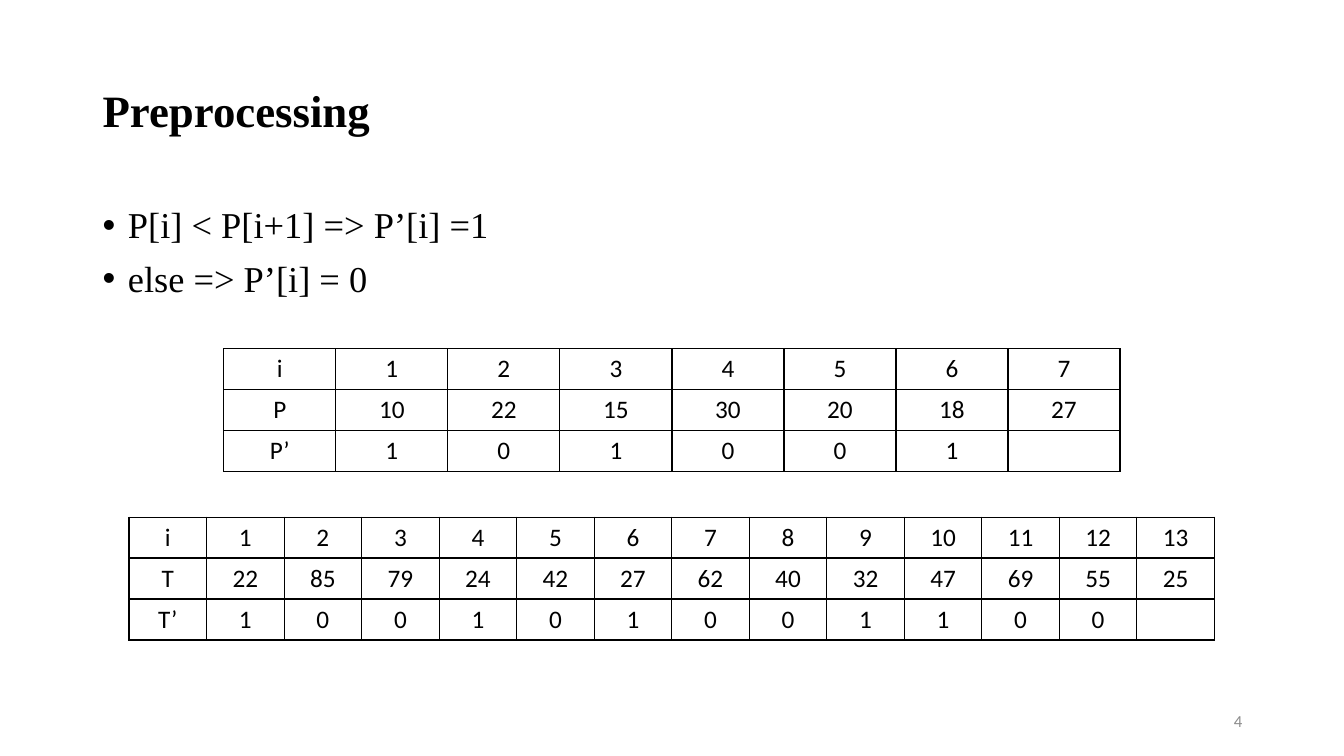
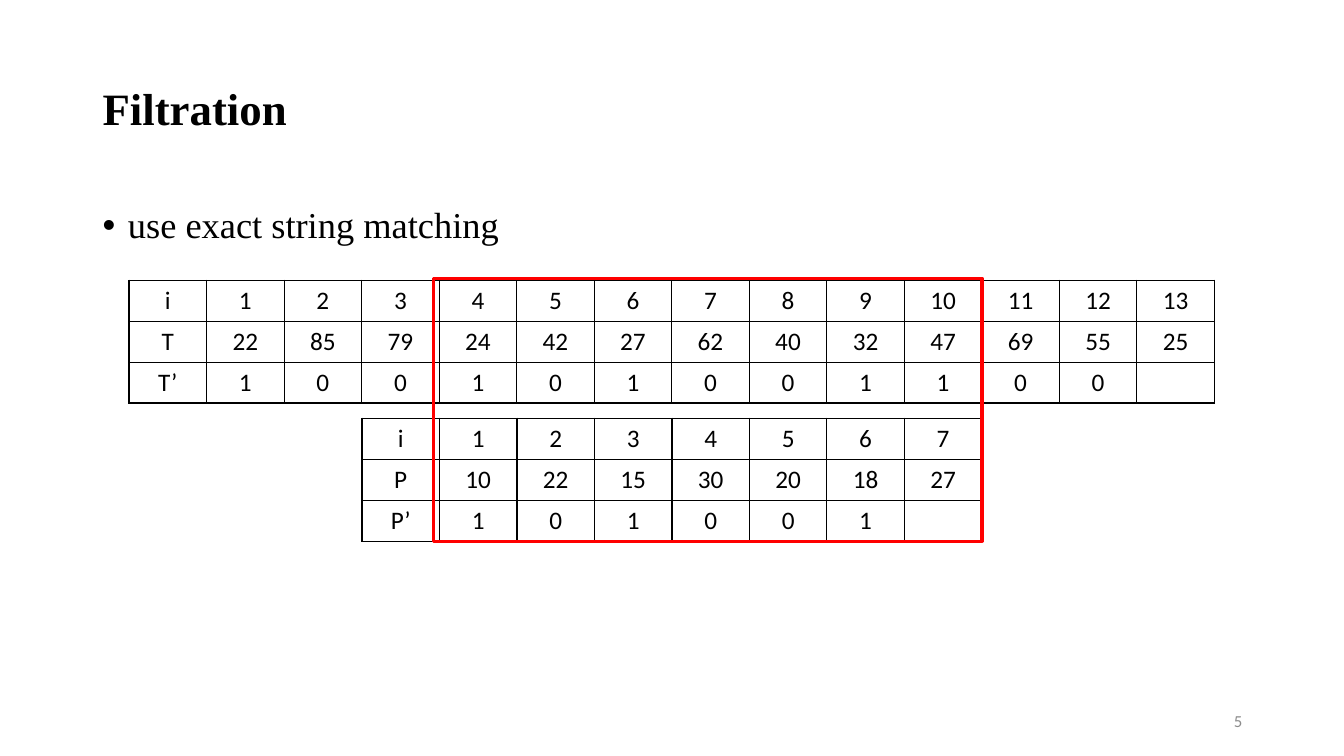
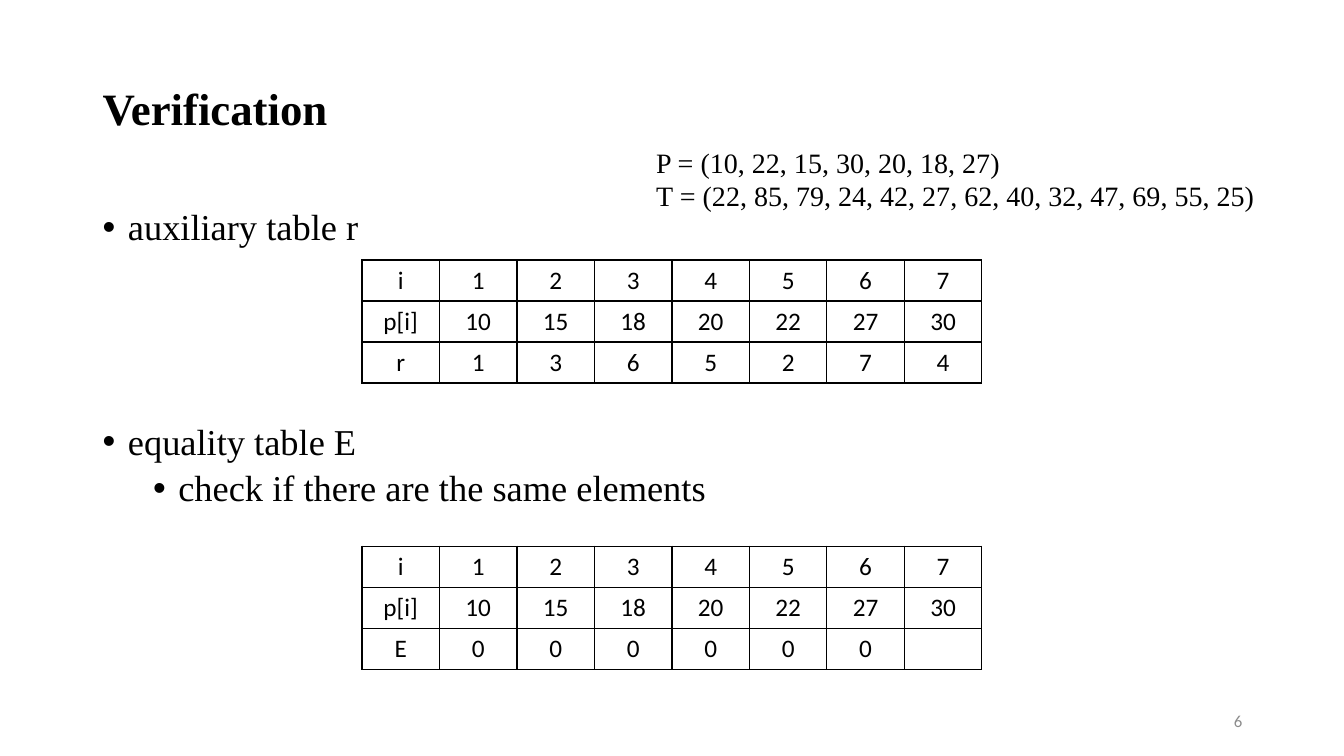
import pptx
import pptx.dml.color
import pptx.enum.shapes
import pptx.enum.text
import pptx.oxml
import pptx.oxml.ns
import pptx.util
from dataclasses import dataclass
from pptx.util import Inches, Pt

RGBColor = pptx.dml.color.RGBColor
Align = pptx.enum.text.PP_ALIGN
Anchor = pptx.enum.text.MSO_ANCHOR


@dataclass(frozen=True)
class Theme:
    black: str = "000000"
    grey: str = "8C8C8C"
    red: str = "FF0000"
    serif: str = "Times New Roman"
    sans: str = "Calibri"
    title_size: int = 32
    body_size: int = 26
    note_size: int = 20
    table_size: int = 18
    number_size: int = 12


THEME = Theme()
SLIDE_WIDTH, SLIDE_HEIGHT = 13.33, 7.5
TABLE_HEIGHT = 1.22
BULLET_INDENT = 0.25
FIRST_NUMBER = 4


def order_bits(values):
    """Return 1 where the next value is larger, 0 elsewhere, blank at the end."""
    return [int(a < b) for a, b in zip(values, values[1:])] + [""]


def index_table(*rows):
    """Put a row of positions 1..n above labelled rows of n values."""
    count = len(rows[0][1])
    return [["i", *range(1, count + 1)]] + [[label, *values] for label, values in rows]


PATTERN = [10, 22, 15, 30, 20, 18, 27]
TEXT = [22, 85, 79, 24, 42, 27, 62, 40, 32, 47, 69, 55, 25]
SORTED_PATTERN = sorted(PATTERN)
PATTERN_TABLE = index_table(("P", PATTERN), ("P’", order_bits(PATTERN)))
TEXT_TABLE = index_table(("T", TEXT), ("T’", order_bits(TEXT)))
RANK_TABLE = index_table(
    ("p[i]", SORTED_PATTERN), ("r", [PATTERN.index(value) + 1 for value in SORTED_PATTERN])
)
EQUALITY_TABLE = index_table(("p[i]", SORTED_PATTERN), ("E", [0] * 6 + [""]))

# Bullets are (text, level, space before); tables are (rows, top, width).
SLIDES = [
    {
        "title": "Preprocessing",
        "title_top": 0.4,
        "body_top": 2.01,
        "bullets": [("P[i] < P[i+1] => P’[i] =1", 0, 0), ("else => P’[i] = 0", 0, 10)],
        "tables": [(PATTERN_TABLE, 3.46, 8.89), (TEXT_TABLE, 5.13, 10.77)],
    },
    {
        "title": "Filtration",
        "title_top": 0.38,
        "body_top": 2.01,
        "bullets": [("use exact string matching", 0, 0)],
        "tables": [(PATTERN_TABLE, 4.15, 6.15), (TEXT_TABLE, 2.78, 10.77)],
        "match_frame": (4.3, 2.76, 5.44, 2.61),
    },
    {
        "title": "Verification",
        "title_top": 0.38,
        "body_top": 2.03,
        "bullets": [
            ("auxiliary table r", 0, 0),
            ("equality table E", 0, 125),
            ("check if there are the same elements", 1, 5),
        ],
        "tables": [(RANK_TABLE, 2.58, 6.15), (EQUALITY_TABLE, 5.42, 6.15)],
        "note": [
            f"{name} = ({', '.join(map(str, values))})"
            for name, values in (("P", PATTERN), ("T", TEXT))
        ],
    },
]


def style_font(paragraph, size, name, color=THEME.black, bold=False):
    font = paragraph.font
    font.size, font.name, font.bold = Pt(size), name, bold
    font.color.rgb = RGBColor.from_string(color)


def add_text_frame(slide, box, anchor=Anchor.TOP):
    frame = slide.shapes.add_textbox(*map(Inches, box)).text_frame
    frame.word_wrap = True
    frame.vertical_anchor = anchor
    return frame


def add_paragraphs(frame, texts):
    frame.text = "\n".join(texts)
    return frame.paragraphs


def add_title(slide, text, top):
    frame = add_text_frame(slide, (0.92, top, 11.5, 1.45), Anchor.MIDDLE)
    [paragraph] = add_paragraphs(frame, [text])
    paragraph.line_spacing = 0.9
    style_font(paragraph, THEME.title_size, THEME.serif, bold=True)


def add_page_number(slide, number):
    frame = add_text_frame(slide, (9.42, 6.95, 3, 0.4), Anchor.MIDDLE)
    [paragraph] = add_paragraphs(frame, [str(number)])
    paragraph.alignment = Align.RIGHT
    style_font(paragraph, THEME.number_size, THEME.sans, THEME.grey)


def add_bullets(slide, bullets, top):
    frame = add_text_frame(slide, (0.92, top, 11.81, 4.86))
    paragraphs = add_paragraphs(frame, [text for text, _, _ in bullets])
    for paragraph, (_, level, space_before) in zip(paragraphs, bullets):
        paragraph.level = level
        paragraph.line_spacing = 0.9
        paragraph.space_before = Pt(space_before)
        properties = paragraph._p.get_or_add_pPr()
        properties.set("marL", str(Inches(BULLET_INDENT + 0.5 * level)))
        properties.set("indent", str(-Inches(BULLET_INDENT)))
        namespace = pptx.oxml.ns.nsdecls("a")
        for bullet in ('<a:buFont %s typeface="Arial"/>', '<a:buChar %s char="•"/>'):
            properties.append(pptx.oxml.parse_xml(bullet % namespace))
        style_font(paragraph, THEME.body_size, THEME.serif)


def add_note(slide, lines):
    frame = add_text_frame(slide, (6.41, 1.39, 6.67, 0.77))
    for paragraph in add_paragraphs(frame, lines):
        style_font(paragraph, THEME.note_size, THEME.serif)


def add_cell_borders(cell):
    properties = cell._tc.get_or_add_tcPr()
    for side in ("lnL", "lnR", "lnT", "lnB"):
        properties.append(pptx.oxml.parse_xml(
            f'<a:{side} {pptx.oxml.ns.nsdecls("a")} w="{Pt(1)}"><a:solidFill>'
            f'<a:srgbClr val="{THEME.black}"/></a:solidFill></a:{side}>'
        ))


def add_centred_table(slide, rows, top, width):
    columns = len(rows[0])
    box = ((SLIDE_WIDTH - width) / 2, top, width, TABLE_HEIGHT)
    table = slide.shapes.add_table(len(rows), columns, *map(Inches, box)).table
    table.first_row = table.horz_banding = False
    for column in table.columns:
        column.width = Inches(width / columns)
    for row, values in zip(table.rows, rows):
        row.height = Inches(TABLE_HEIGHT / len(rows))
        for cell, value in zip(row.cells, values):
            add_cell_borders(cell)
            cell.fill.background()
            [paragraph] = add_paragraphs(cell.text_frame, [str(value)])
            paragraph.alignment = Align.CENTER
            style_font(paragraph, THEME.table_size, THEME.sans)


def add_match_frame(slide, box):
    shape = slide.shapes.add_shape(
        pptx.enum.shapes.MSO_SHAPE.RECTANGLE, *map(Inches, box)
    )
    shape.shadow.inherit = False
    shape.fill.background()
    shape.line.color.rgb = RGBColor.from_string(THEME.red)
    shape.line.width = Pt(2.25)


def main():
    presentation = pptx.Presentation()
    presentation.slide_width = Inches(SLIDE_WIDTH)
    presentation.slide_height = Inches(SLIDE_HEIGHT)
    blank_layout = presentation.slide_layouts[6]
    for number, content in enumerate(SLIDES, FIRST_NUMBER):
        slide = presentation.slides.add_slide(blank_layout)
        add_title(slide, content["title"], content["title_top"])
        add_page_number(slide, number)
        add_bullets(slide, content["bullets"], content["body_top"])
        for rows, top, width in content["tables"]:
            add_centred_table(slide, rows, top, width)
        if "note" in content:
            add_note(slide, content["note"])
        if "match_frame" in content:
            add_match_frame(slide, content["match_frame"])
    presentation.save("out.pptx")


if __name__ == "__main__":
    main()
